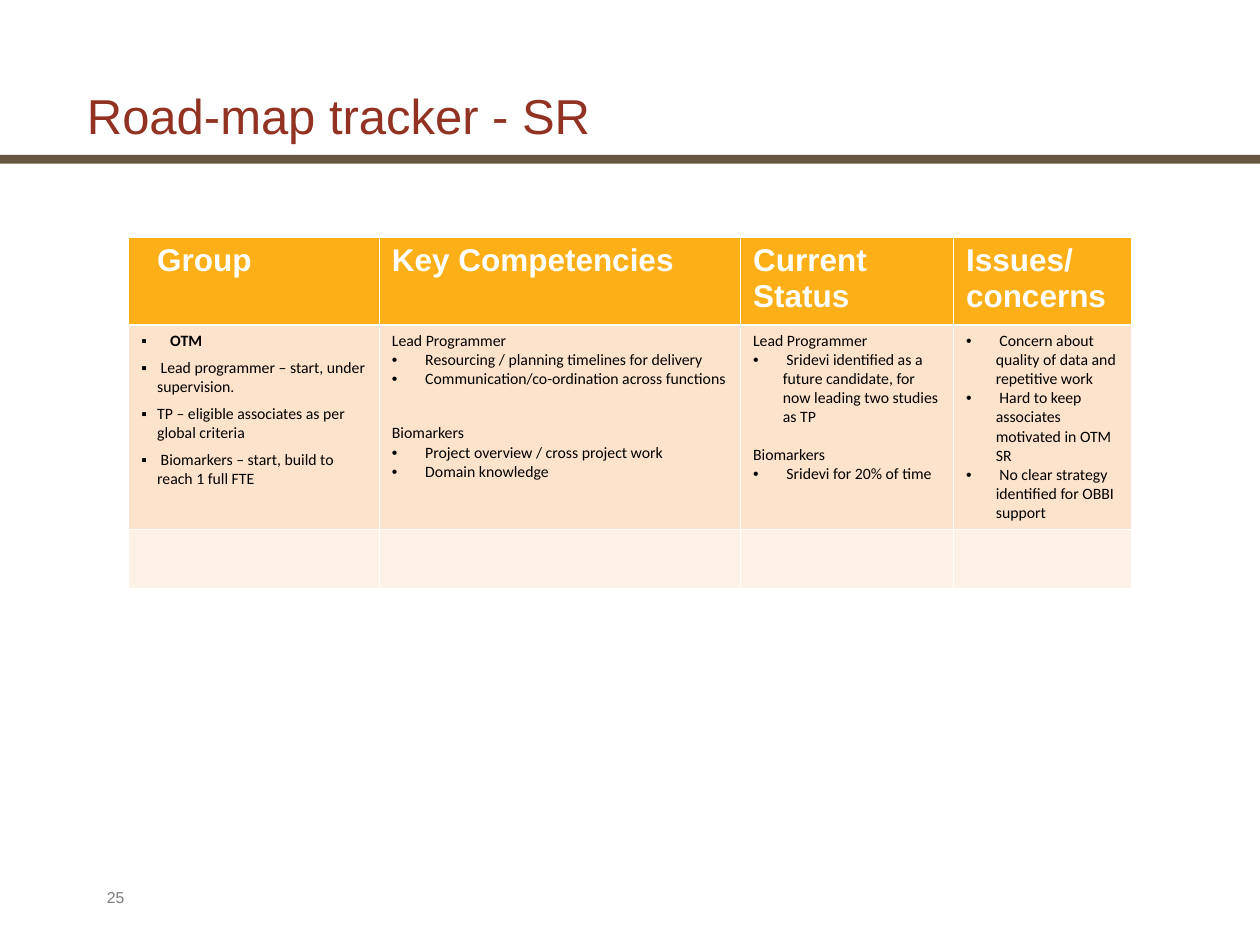
from lxml.etree import SubElement
from pptx import Presentation
from pptx.dml.color import RGBColor
from pptx.enum.shapes import MSO_SHAPE
from pptx.enum.text import MSO_ANCHOR, MSO_AUTO_SIZE, PP_ALIGN
from pptx.oxml.ns import qn
from pptx.util import Pt

COLORS = {
    "title": "923222", "rule": "6A5540", "header": "FCAF17", "body": "FEE3CC",
    "empty": "FEF2E7", "white": "FFFFFF", "text": "000000", "number": "7F7F7F",
}
COLUMN_WIDTHS = [143.2, 206.4, 121.7, 101.9]
ROW_HEIGHTS = [50.4, 116.4, 33.8]
THIN, THICK = 0.45, 1.47

HEADERS = ["Group", "Key Competencies", "Current Status", "Issues/concerns"]

# Paragraph formats
PLAIN = {}
SQUARE = {"bullet": "▪", "indent": 9, "after": 4.5}
SQUARE_HEAD = {"bullet": "▪", "indent": 16.5, "after": 4.5, "bold": True}
DOT = {"bullet": "•", "indent": 17}

# One list of paragraphs for each column
DETAILS = [
    [
        ("OTM", SQUARE_HEAD),
        (" Lead programmer – start, under supervision.", SQUARE),
        ("TP – eligible associates as per global criteria", SQUARE),
        (" Biomarkers – start, build to reach 1 full FTE", SQUARE),
    ],
    [
        ("Lead Programmer", PLAIN),
        (" Resourcing / planning timelines for delivery", DOT),
        (" Communication/co-ordination across functions", DOT),
        ("Biomarkers", {"before": 20}),
        (" Project overview / cross project work", DOT),
        (" Domain knowledge", DOT),
    ],
    [
        ("Lead Programmer", PLAIN),
        (" Sridevi identified as a future candidate, "
         "for now leading two studies as TP", DOT),
        ("Biomarkers", {"before": 10.5}),
        (" Sridevi for 20% of time", DOT),
    ],
    [
        (" Concern about quality of data and repetitive work", DOT),
        (" Hard to keep associates motivated in OTM SR", DOT),
        (" No clear strategy identified for OBBI support", DOT),
    ],
]


def rgb(name):
    return RGBColor.from_string(COLORS[name])


def write(frame, text, size=9, font="Calibri", color="text", bold=False,
          bullet=None, indent=0, before=0, after=0, spacing=None):
    """Write one paragraph, reusing the first one while it is empty."""
    para = frame.paragraphs[0]
    if para.runs:
        para = frame.add_paragraph()
    para.alignment = PP_ALIGN.LEFT
    para.space_before, para.space_after = Pt(before), Pt(after)
    if spacing:
        para.line_spacing = spacing
    properties = para._p.get_or_add_pPr()
    if indent:
        properties.set("marL", str(Pt(indent)))
    if bullet:
        properties.set("indent", str(-Pt(indent)))
        bullet_color = SubElement(properties, qn("a:buClr"))
        SubElement(bullet_color, qn("a:srgbClr"), val=COLORS[color])
        SubElement(properties, qn("a:buFont"), typeface="Arial")
        SubElement(properties, qn("a:buChar"), char=bullet)
    span = para.add_run()
    span.text = text
    span.font.size, span.font.name, span.font.bold = Pt(size), font, bold
    span.font.color.rgb = rgb(color)


def style_cell(cell, fill, top=THIN, bottom=THIN):
    properties = cell._tc.get_or_add_tcPr()
    for side, width in (("L", THIN), ("R", THIN), ("T", top), ("B", bottom)):
        line = SubElement(properties, qn(f"a:ln{side}"), w=str(Pt(width)))
        solid = SubElement(line, qn("a:solidFill"))
        SubElement(solid, qn("a:srgbClr"), val=COLORS["white"])
    cell.fill.solid()
    cell.fill.fore_color.rgb = rgb(fill)


def place_title(page, left, top, width, height):
    title = page.shapes.title
    title.left, title.top = Pt(left), Pt(top)
    title.width, title.height = Pt(width), Pt(height)
    frame = title.text_frame
    frame.auto_size = MSO_AUTO_SIZE.NONE
    frame.vertical_anchor = MSO_ANCHOR.BOTTOM
    write(frame, "Road-map tracker - SR", size=28, font="Arial",
          color="title", spacing=0.95)


def place_rule(page, left, top, width, height):
    rule = page.shapes.add_shape(MSO_SHAPE.RECTANGLE, Pt(left), Pt(top),
                                 Pt(width), Pt(height))
    rule.shadow.inherit = False
    rule.fill.solid()
    rule.fill.fore_color.rgb = rgb("rule")
    rule.line.fill.background()


def place_tracker(page, left, top):
    table = page.shapes.add_table(
        len(ROW_HEIGHTS), len(COLUMN_WIDTHS), Pt(left), Pt(top),
        Pt(sum(COLUMN_WIDTHS)), Pt(sum(ROW_HEIGHTS))).table
    table.horz_banding = False
    for column, width in zip(table.columns, COLUMN_WIDTHS):
        column.width = Pt(width)
    for row, height in zip(table.rows, ROW_HEIGHTS):
        row.height = Pt(height)
    for index, (header, details) in enumerate(zip(HEADERS, DETAILS)):
        head, body, empty = (table.cell(row, index) for row in range(3))
        style_cell(head, "header", bottom=THICK)
        style_cell(body, "body", top=THICK)
        style_cell(empty, "empty")
        write(head.text_frame, header, size=18, font="Arial", color="white",
              bold=True, indent=0 if index else 9)
        for text, style in details:
            write(body.text_frame, text, **style)


def place_page_number(page, left, top, width, height):
    box = page.shapes.add_textbox(Pt(left), Pt(top), Pt(width), Pt(height))
    box.text_frame.word_wrap = True
    write(box.text_frame, "25", font="Arial", color="number")


def main():
    deck = Presentation()
    deck.slide_width, deck.slide_height = Pt(720), Pt(540)
    page = deck.slides.add_slide(deck.slide_layouts[5])
    place_rule(page, 0, 88.5, 720, 5)
    place_title(page, 42.5, 48.2, 653, 38.9)
    place_tracker(page, 73.6, 135.4)
    place_page_number(page, 54, 504, 510, 19.4)
    deck.save("out.pptx")


if __name__ == "__main__":
    main()
